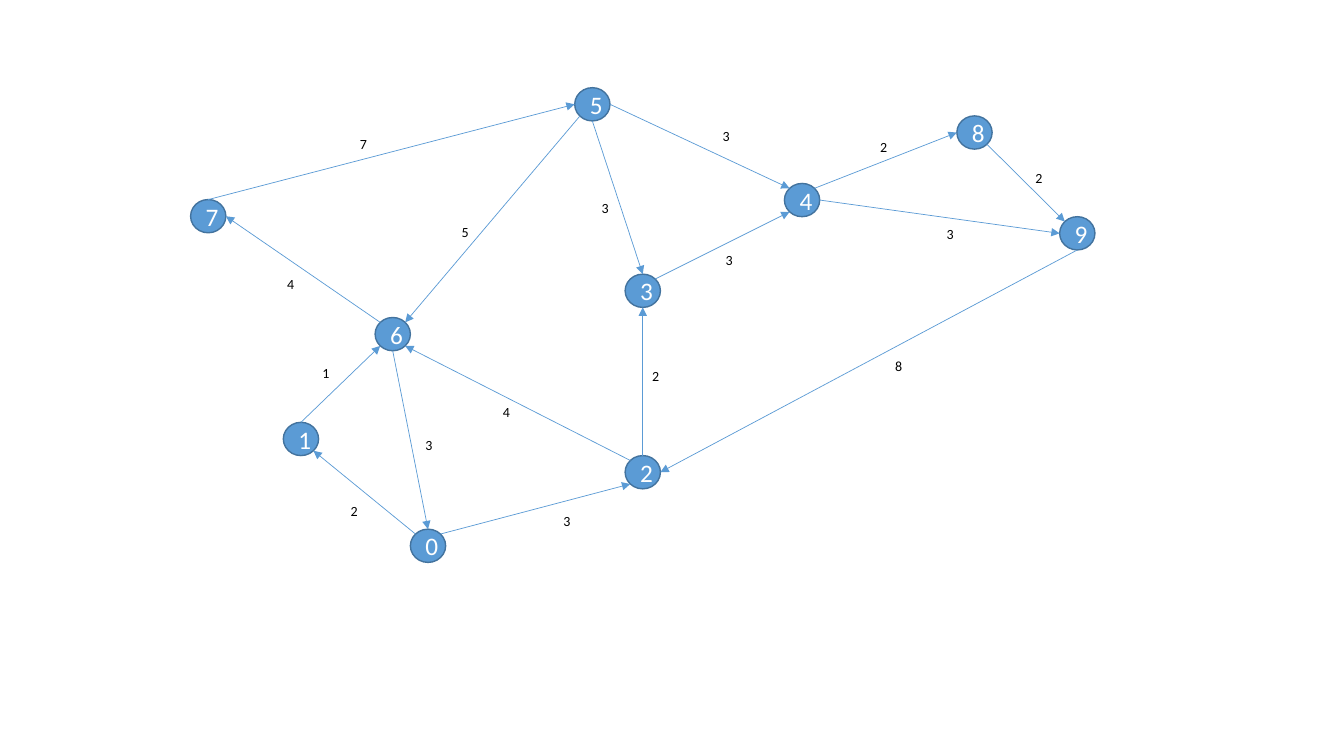
import math
from dataclasses import dataclass

import pptx
import pptx.dml.color
import pptx.enum.shapes
import pptx.enum.text
import pptx.oxml
import pptx.oxml.ns
import pptx.util
from pptx.util import Inches


@dataclass(frozen=True)
class Theme:
    font: str = "Calibri"
    blue: str = "5B9BD5"
    rim: str = "43739E"
    white: str = "FFFFFF"
    black: str = "000000"
    big: float = 18
    small: float = 10
    edge: float = 0.5
    ring: float = 1


THEME = Theme()
NODE_W, NODE_H = 0.35, 0.33
TAG = 0.27

# Left and top of each node within the graph box
NODES = {
    0: (2.18, 4.38), 1: (0.92, 3.32), 2: (4.31, 3.65), 3: (4.31, 1.85),
    4: (5.89, 0.95), 5: (3.81, 0), 6: (1.83, 2.28), 7: (0, 1.11),
    8: (7.6, 0.28), 9: (8.62, 1.28),
}

# Docking points on a node, as angles in degrees clockwise from the right
SIDES = {"E": 0, "SE": 45, "S": 90, "SW": 135,
         "W": 180, "NW": 225, "N": 270, "NE": 315}

# Start node and side, end node and side, weight, left and top of the weight
EDGES = [
    (0, "NW", 1, "SE", 2, 1.49, 4.07),
    (0, "NE", 2, "SW", 3, 3.6, 4.17),
    (1, "N", 6, "SW", 1, 1.21, 2.7),
    (2, "NW", 6, "SE", 4, 3, 3.08),
    (6, "NW", 7, "E", 4, 0.86, 1.81),
    (7, "N", 5, "W", 7, 1.58, 0.43),
    (5, "S", 3, "N", 3, 3.98, 1.06),
    (2, "N", 3, "S", 2, 4.48, 2.73),
    (3, "NE", 4, "SW", 3, 5.21, 1.58),
    (5, "E", 4, "NW", 3, 5.18, 0.35),
    (4, "NE", 8, "W", 2, 6.74, 0.46),
    (4, "E", 9, "W", 3, 7.4, 1.32),
    (8, "SE", 9, "NW", 2, 8.28, 0.76),
    (9, "S", 2, "E", 8, 6.89, 2.63),
    (5, "SW", 6, "NE", 5, 2.59, 1.3),
    (6, "S", 0, "N", 3, 2.23, 3.41),
]


def tint(name):
    return pptx.dml.color.RGBColor.from_string(name)


def write(frame, text, size, color):
    run = frame.paragraphs[0].add_run()
    run.text = str(text)
    run.font.name = THEME.font
    run.font.size = pptx.util.Pt(size)
    run.font.color.rgb = tint(color)


def node(slide, left, top, text):
    dot = slide.shapes.add_shape(
        pptx.enum.shapes.MSO_SHAPE.OVAL,
        Inches(left), Inches(top), Inches(NODE_W), Inches(NODE_H))
    dot.shadow.inherit = False
    dot.fill.solid()
    dot.fill.fore_color.rgb = tint(THEME.blue)
    dot.line.color.rgb = tint(THEME.rim)
    dot.line.width = pptx.util.Pt(THEME.ring)
    dot.text_frame.vertical_anchor = pptx.enum.text.MSO_ANCHOR.MIDDLE
    dot.text_frame.paragraphs[0].alignment = pptx.enum.text.PP_ALIGN.CENTER
    write(dot.text_frame, text, THEME.big, THEME.white)


def arrow(slide, start, end):
    line = slide.shapes.add_connector(
        pptx.enum.shapes.MSO_CONNECTOR.STRAIGHT,
        *(Inches(value) for value in (*start, *end)))
    line.line.color.rgb = tint(THEME.blue)
    line.line.width = pptx.util.Pt(THEME.edge)
    # Arrowhead at the end, and no shadow
    head = pptx.oxml.parse_xml(
        f'<a:tailEnd {pptx.oxml.ns.nsdecls("a")} type="triangle"/>')
    line.line._get_or_add_ln().append(head)
    line._element.spPr.append(pptx.oxml.parse_xml(
        f'<a:effectLst {pptx.oxml.ns.nsdecls("a")}/>'))


def tag(slide, left, top, text):
    area = slide.shapes.add_textbox(
        Inches(left), Inches(top), Inches(TAG), Inches(TAG))
    area.text_frame.word_wrap = False
    area.text_frame.auto_size = pptx.enum.text.MSO_AUTO_SIZE.SHAPE_TO_FIT_TEXT
    write(area.text_frame, text, THEME.small, THEME.black)


def graph(slide, left, top):
    def dock(key, side):
        x, y = NODES[key]
        turn = math.radians(SIDES[side])
        return (left + x + NODE_W / 2 * (1 + math.cos(turn)),
                top + y + NODE_H / 2 * (1 + math.sin(turn)))

    # Nodes
    for key, (x, y) in NODES.items():
        node(slide, left + x, top + y, key)
    # Arrows
    for tail, out, head, into, *rest in EDGES:
        arrow(slide, dock(tail, out), dock(head, into))
    # Weights
    for *ends, weight, x, y in EDGES:
        tag(slide, left + x, top + y, weight)


def main():
    deck = pptx.Presentation()
    deck.slide_width = Inches(13.33)
    deck.slide_height = Inches(7.5)
    slide = deck.slides.add_slide(deck.slide_layouts[6])
    graph(slide, 1.89, 0.87)
    deck.save("out.pptx")


if __name__ == "__main__":
    main()
